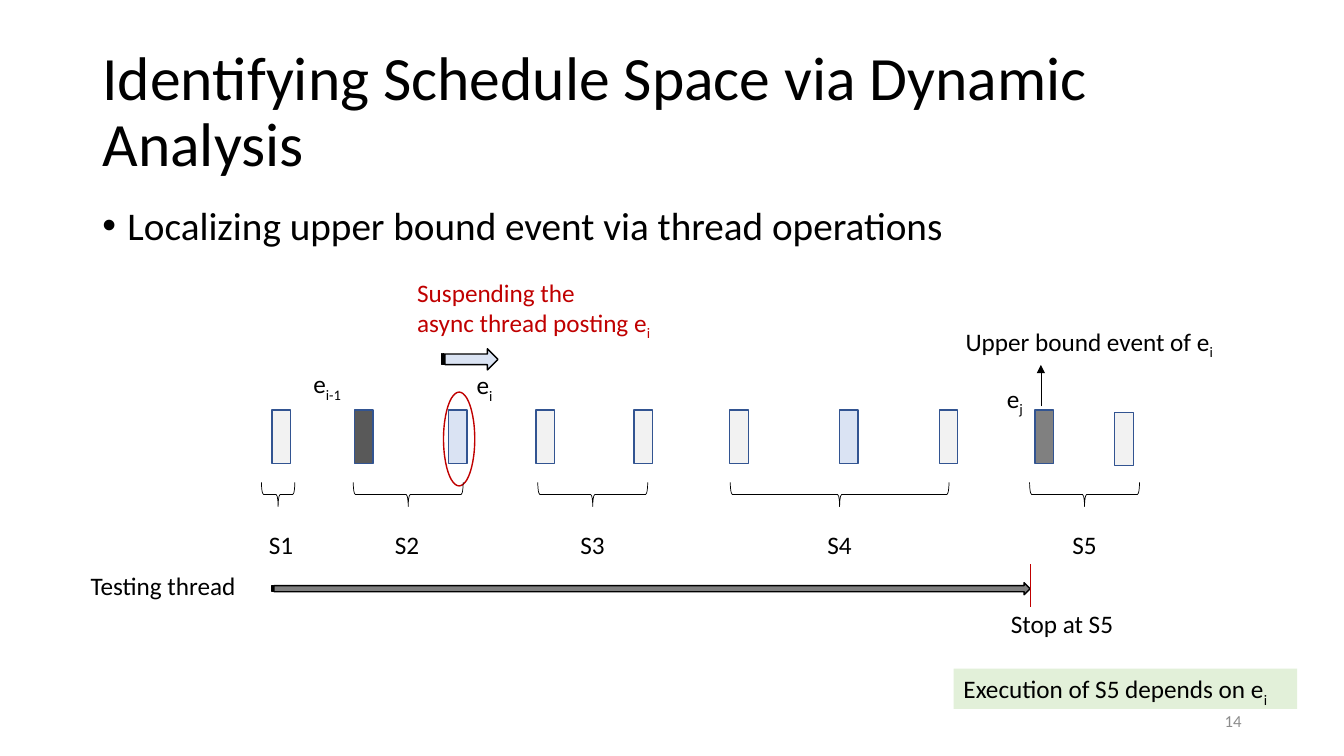
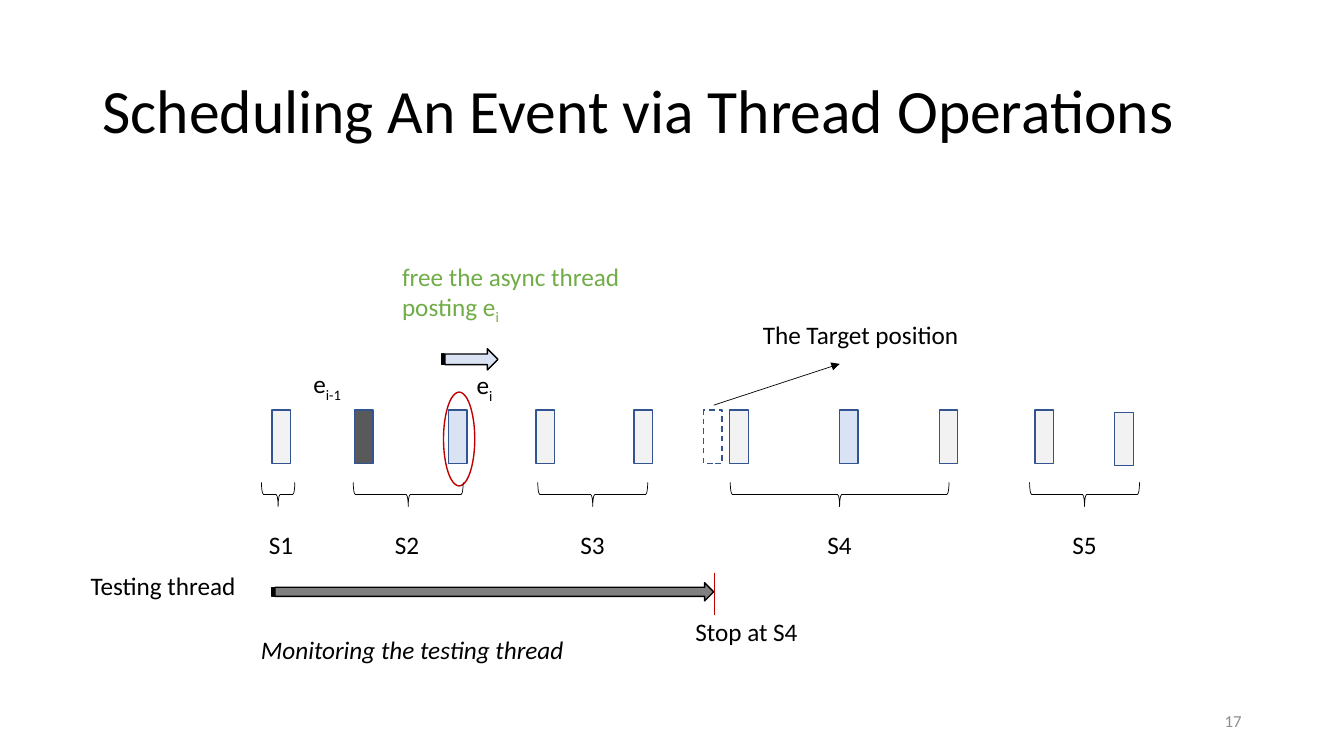
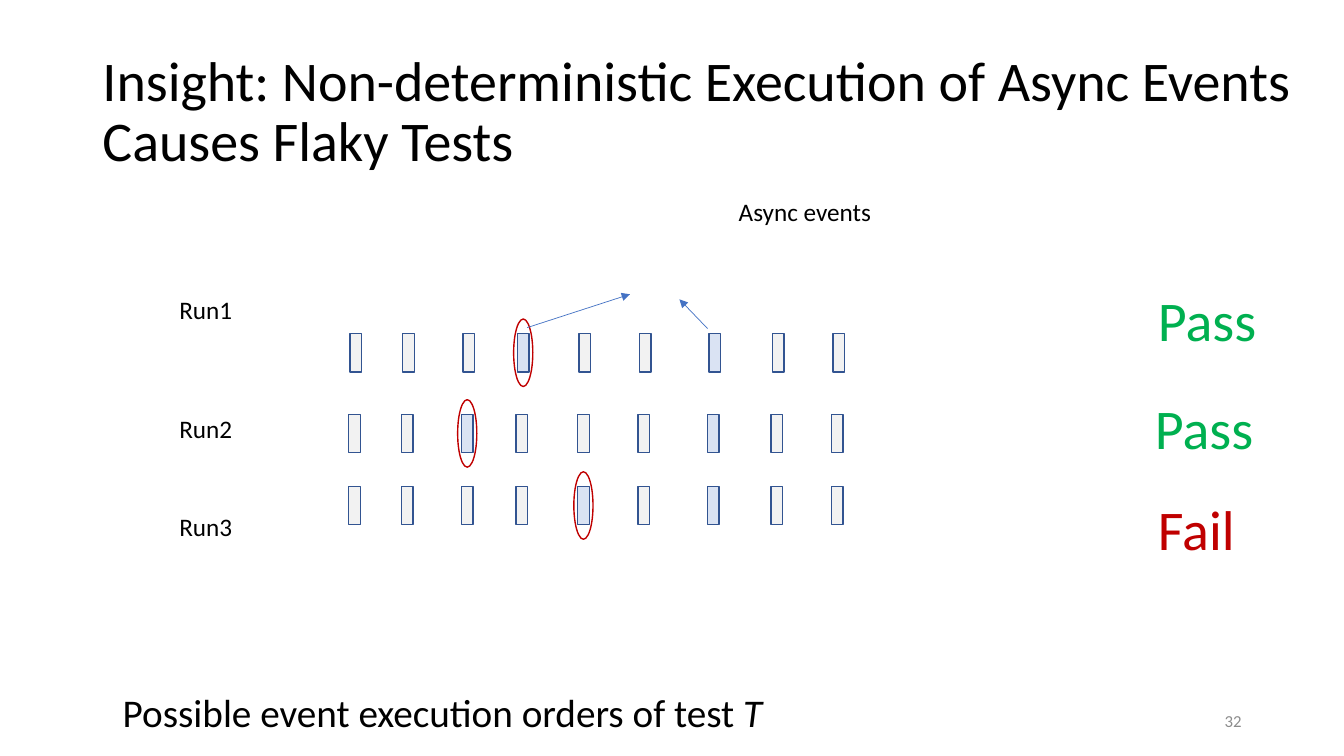
from dataclasses import dataclass
from typing import NamedTuple

from lxml.etree import SubElement
from pptx import Presentation
from pptx.dml.color import RGBColor
from pptx.enum.dml import MSO_LINE
from pptx.enum.shapes import MSO_CONNECTOR, MSO_SHAPE
from pptx.enum.text import MSO_ANCHOR, MSO_AUTO_SIZE, PP_ALIGN
from pptx.oxml.ns import qn
from pptx.shapes.autoshape import Shape
from pptx.slide import Slide
from pptx.text.text import _Run
from pptx.util import Pt

FONT = "Calibri"
COLORS = {
    "black": "000000",
    "number": "8C8C8C",
    "red": "C00000",
    "free": "70AD47",
    "pass": "00B050",
    "note": "E2F0D9",
    "pointer": "4472C4",
    "outline": "325491",
    "plain": "F2F2F2",
    "async": "DAE3F3",
    "previous": "595959",
    "bound": "808080",
}
TITLE_LEFT, TITLE_TOP, TITLE_HEIGHT = 66, 28.8, 104.4
BODY_WIDTH = 828


class Box(NamedTuple):
    left: float
    top: float
    width: float
    height: float


class Segment(NamedTuple):
    x1: float
    y1: float
    x2: float
    y2: float


class Session(NamedTuple):
    """A group of events under one brace."""
    name: str
    center: float
    span: float
    label_left: float


class TestRun(NamedTuple):
    name: str
    label_top: float
    shift: float
    events_top: float
    moved: int
    verdict: str
    verdict_color: str
    verdict_left: float
    verdict_top: float


@dataclass
class Label:
    text: str
    left: float
    top: float
    width: float
    sub: str = ""
    italic_tail: str = ""
    size: float = 18
    color: str = "black"
    fill: str = ""
    italic: bool = False
    wrap: bool = False
    align: PP_ALIGN = PP_ALIGN.LEFT


EVENT_WIDTH, EVENT_HEIGHT, EVENT_TOP = 13.2, 38.2, 293
EVENTS = [
    (194.4, "plain"), (253.4, "previous"), (320.4, "async"), (383, "plain"),
    (452.9, "plain"), (521.3, "plain"), (599.8, "async"), (671, "plain"),
    (739.4, "plain"),
]
LAST_EVENT = Box(796.3, 294.5, EVENT_WIDTH, EVENT_HEIGHT)
BRACE_CENTER_Y, BRACE_DEPTH = 353.2, 17.3
SESSIONS = [
    Session("S1", 198.7, 23.8, 185),
    Session("S2", 291.6, 78.5, 275),
    Session("S3", 423.4, 78.5, 407.5),
    Session("S4", 599.8, 156.2, 583.9),
    Session("S5", 774.7, 78.5, 758.9),
]
TIMELINE_LABELS = [
    Label("e", 333.4, 260.6, 26.6, sub="i", wrap=True),
    Label("e", 216.7, 259.9, 36.7, sub="i-1", wrap=True),
    Label("Testing thread", 57.6, 403.9, 119.5),
]

RUN_LEFTS = [249.1, 286.6, 329.6, 368.6, 412.6, 455.8, 505.4, 550.8, 594]
RUN_EVENT_WIDTH, RUN_EVENT_HEIGHT = 8.3, 27.4
RING_WIDTH, RING_HEIGHT = 13.7, 48.2
FIXED_ASYNC = 6
RUNS = [
    TestRun("Run1", 206.6, 1, 238.3, 3, "Pass", "pass", 820.1, 200.2),
    TestRun("Run2", 291.6, 0, 295.9, 2, "Pass", "pass", 817.9, 277.2),
    TestRun("Run3", 361.4, 0, 347.4, 4, "Fail", "red", 820.1, 349.9),
]


def rgb(name: str) -> RGBColor:
    return RGBColor.from_string(COLORS[name])


def style_run(run: _Run, size: float, color: str, italic: bool = False) -> None:
    run.font.name = FONT
    run.font.size = Pt(size)
    run.font.italic = italic
    run.font.color.rgb = rgb(color)


def add_label(slide: Slide, label: Label) -> Shape:
    lines = label.text.count("\n") + 1
    height = lines * label.size * 1.2 + 7.2
    box = slide.shapes.add_textbox(
        Pt(label.left), Pt(label.top), Pt(label.width), Pt(height))
    if label.fill:
        box.fill.solid()
        box.fill.fore_color.rgb = rgb(label.fill)
    frame = box.text_frame
    frame.text = label.text
    frame.word_wrap = label.wrap
    frame.auto_size = MSO_AUTO_SIZE.SHAPE_TO_FIT_TEXT
    for paragraph in frame.paragraphs:
        paragraph.alignment = label.align
        for run in paragraph.runs:
            style_run(run, label.size, label.color, label.italic)
    tail = label.sub or label.italic_tail
    if tail:
        run = frame.paragraphs[-1].add_run()
        run.text = tail
        style_run(run, label.size, label.color, bool(label.italic_tail))
        if label.sub:
            run._r.get_or_add_rPr().set("baseline", "-25000")
    return box


def add_figure(slide: Slide, kind: MSO_SHAPE, box: Box, fill: str = "",
               line: str = "outline", weight: float = 1) -> Shape:
    """Draw a preset shape; without a fill it stays see-through."""
    figure = slide.shapes.add_shape(kind, *(Pt(length) for length in box))
    figure.shadow.inherit = False
    if fill:
        figure.fill.solid()
        figure.fill.fore_color.rgb = rgb(fill)
    else:
        figure.fill.background()
    figure.line.color.rgb = rgb(line)
    figure.line.width = Pt(weight)
    return figure


def add_line(slide: Slide, segment: Segment, color: str = "black",
             arrow: bool = False) -> None:
    line = slide.shapes.add_connector(
        MSO_CONNECTOR.STRAIGHT, *(Pt(length) for length in segment))
    line.line.color.rgb = rgb(color)
    line.line.width = Pt(0.5)
    properties = line.element.spPr
    if arrow:
        SubElement(properties.find(qn("a:ln")), qn("a:tailEnd"), type="triangle")
    SubElement(properties, qn("a:effectLst"))


def add_titled_slide(deck: Presentation, title: str, number: int,
                     size: float = 44, width: float = BODY_WIDTH) -> Slide:
    slide = deck.slides.add_slide(deck.slide_layouts[5])
    heading = slide.shapes.title
    heading.left, heading.top = Pt(TITLE_LEFT), Pt(TITLE_TOP)
    heading.width, heading.height = Pt(width), Pt(TITLE_HEIGHT)
    frame = heading.text_frame
    frame.text = title
    frame.word_wrap = True
    frame.auto_size = MSO_AUTO_SIZE.NONE
    frame.vertical_anchor = MSO_ANCHOR.MIDDLE
    paragraph = frame.paragraphs[0]
    paragraph.alignment = PP_ALIGN.LEFT
    paragraph.line_spacing = 0.9
    style_run(paragraph.runs[0], size, "black")
    add_label(slide, Label(str(number), 678, 504, 216, size=12, color="number",
                           wrap=True, align=PP_ALIGN.RIGHT))
    return slide


def add_bullet(slide: Slide, text: str) -> None:
    box = add_label(slide, Label(text, TITLE_LEFT, 144, BODY_WIDTH, size=28, wrap=True))
    paragraph = box.text_frame.paragraphs[0]
    paragraph.line_spacing = 0.9
    paragraph.space_before = Pt(10)
    properties = paragraph._p.get_or_add_pPr()
    properties.set("marL", str(Pt(18)))
    properties.set("indent", str(-Pt(18)))
    SubElement(properties, qn("a:buFont"), typeface="Arial")
    SubElement(properties, qn("a:buChar"), char="•")


def add_timeline(slide: Slide, ninth_fill: str, thread: Box) -> None:
    """Draw the events, their sessions and the thread running below them."""
    for left, fill in EVENTS[:-1] + [(EVENTS[-1][0], ninth_fill)]:
        add_figure(slide, MSO_SHAPE.RECTANGLE,
                   Box(left, EVENT_TOP, EVENT_WIDTH, EVENT_HEIGHT), fill)
    add_figure(slide, MSO_SHAPE.RECTANGLE, LAST_EVENT, "plain")
    add_figure(slide, MSO_SHAPE.OVAL, Box(316.8, 280.1, 22.3, 67), line="red")
    for session in SESSIONS:
        upright = Box(session.center - BRACE_DEPTH / 2,
                      BRACE_CENTER_Y - session.span / 2, BRACE_DEPTH, session.span)
        brace = add_figure(slide, MSO_SHAPE.LEFT_BRACE, upright,
                           line="black", weight=0.5)
        brace.rotation = 270
        add_label(slide, Label(session.name, session.label_left, 374.4, 32.4))
    for label in TIMELINE_LABELS:
        add_label(slide, label)
    for arrow, fill in ((Box(315.4, 249.1, 40.3, 15.1), "async"), (thread, "bound")):
        add_figure(slide, MSO_SHAPE.STRIPED_RIGHT_ARROW, arrow, fill, "black")


def build_schedule_space(deck: Presentation) -> None:
    slide = add_titled_slide(
        deck, "Identifying Schedule Space via Dynamic Analysis", 14)
    add_bullet(slide, "Localizing upper bound event via thread operations")
    add_timeline(slide, "bound", Box(194.4, 416.2, 541.4, 8.6))
    for label in (
        Label("Suspending the\nasync thread posting e", 290.9, 194.4, 187.9,
              sub="i", color="red"),
        Label("Stop at S5", 715, 431.3, 88.6),
        Label("Execution of S5 depends on e", 681.1, 477.6, 245.5,
              sub="i", fill="note", wrap=True),
        Label("e", 712.1, 270, 26.6, sub="j", wrap=True),
        Label("Upper bound event of e", 682.6, 229.7, 193.7, sub="i"),
    ):
        add_label(slide, label)
    add_line(slide, Segment(735.8, 403.2, 735.8, 433.4), "red")
    add_line(slide, Segment(743.5, 290.2, 743.5, 260.6), arrow=True)


def build_event_scheduling(deck: Presentation) -> None:
    slide = add_titled_slide(deck, "Scheduling An Event via Thread Operations", 17)
    add_timeline(slide, "plain", Box(194.4, 416.2, 315.4, 13))
    target = add_figure(slide, MSO_SHAPE.RECTANGLE,
                        Box(502.6, EVENT_TOP, EVENT_WIDTH, EVENT_HEIGHT))
    target.line.dash_style = MSO_LINE.DASH
    for label in (
        Label("free the async thread posting e", 280.1, 182.9, 172.1,
              sub="i", color="free", wrap=True),
        Label("The Target position", 537.8, 224.6, 156.2),
        Label("Monitoring the testing thread", 179.3, 449.3, 233.3, italic=True),
        Label("Stop at S4", 489.6, 437, 88.6),
    ):
        add_label(slide, label)
    add_line(slide, Segment(509.8, 289.4, 599.8, 259.9), arrow=True)
    add_line(slide, Segment(510.5, 409, 510.5, 439.2), "red")


def add_test_run(slide: Slide, run: TestRun) -> None:
    add_label(slide, Label(run.name, 121, run.label_top, 76.3, wrap=True))
    add_label(slide, Label(run.verdict, run.verdict_left, run.verdict_top, 125.3,
                           size=40, color=run.verdict_color, wrap=True))
    for index, left in enumerate(RUN_LEFTS):
        fill = "async" if index in (run.moved, FIXED_ASYNC) else "plain"
        add_figure(slide, MSO_SHAPE.RECTANGLE,
                   Box(left + run.shift, run.events_top,
                       RUN_EVENT_WIDTH, RUN_EVENT_HEIGHT), fill)
    ring = Box(RUN_LEFTS[run.moved] + run.shift + (RUN_EVENT_WIDTH - RING_WIDTH) / 2,
               run.events_top + (RUN_EVENT_HEIGHT - RING_HEIGHT) / 2,
               RING_WIDTH, RING_HEIGHT)
    add_figure(slide, MSO_SHAPE.OVAL, ring, line="red")


def build_flaky_insight(deck: Presentation) -> None:
    slide = add_titled_slide(
        deck,
        "Insight: Non-deterministic Execution of Async Events Causes Flaky Tests",
        32, size=40, width=866.9)
    add_label(slide, Label("Possible event execution orders of test ", 80.6, 488.2,
                           475.9, italic_tail="T", size=28))
    add_label(slide, Label("Async events", 520.6, 136.8, 113, wrap=True))
    for run in RUNS:
        add_test_run(slide, run)
    for pointer in (Segment(376.6, 234, 450, 210.2),
                    Segment(505.4, 234.7, 485.3, 213.8)):
        add_line(slide, pointer, "pointer", arrow=True)


def main() -> None:
    deck = Presentation()
    deck.slide_width, deck.slide_height = Pt(960), Pt(540)
    build_schedule_space(deck)
    build_event_scheduling(deck)
    build_flaky_insight(deck)
    deck.save("out.pptx")


if __name__ == "__main__":
    main()
